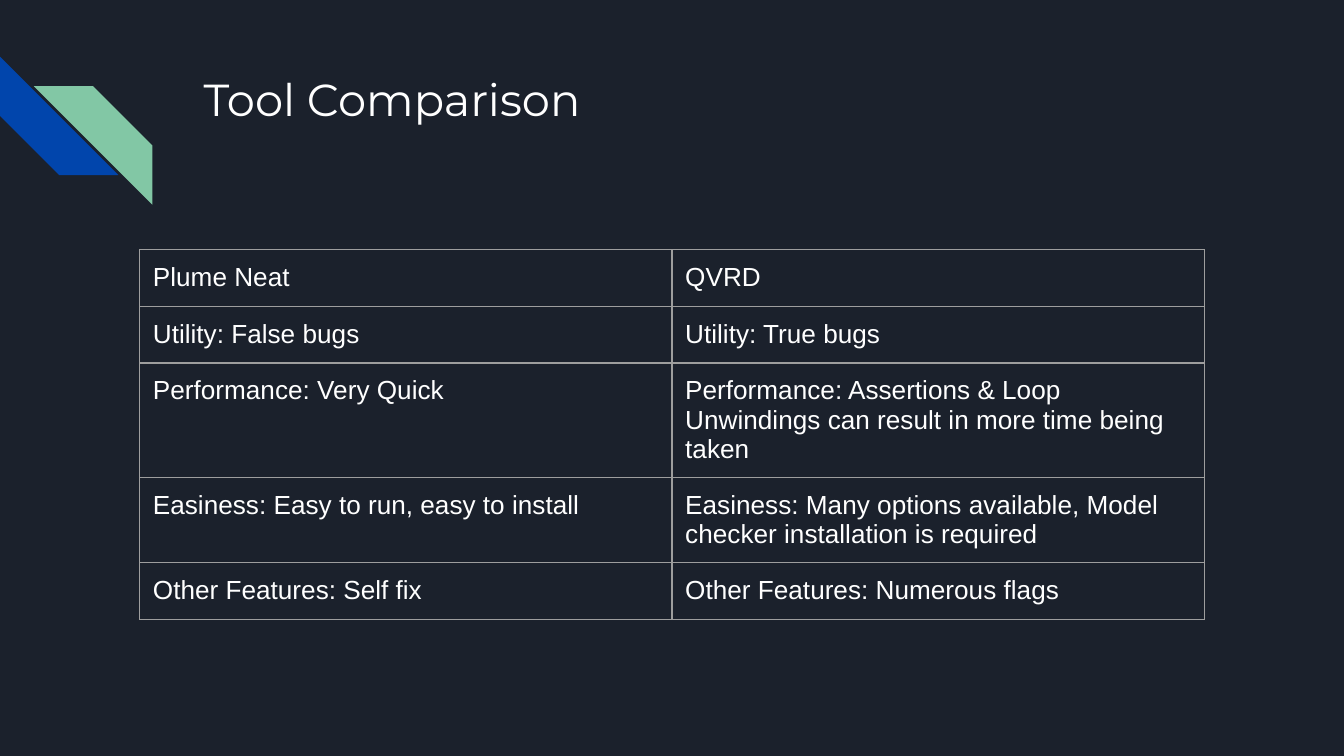
"""Build the tool comparison slide with its title, corner stripes and table."""
from lxml import etree
from pptx import Presentation
from pptx import util as u
from pptx.dml.color import RGBColor
from pptx.enum import shapes, text
from pptx.oxml import ns

COLORS = {
    "background": "1B212C",
    "blue": "0145AC",
    "green": "82C7A5",
    "text": "FFFFFF",
    "border": "9E9E9E",
}
INSET = u.Cm(0.25)
ROWS = [
    ("Plume Neat", "QVRD"),
    ("Utility: False bugs", "Utility: True bugs"),
    ("Performance: Very Quick",
     "Performance: Assertions & Loop Unwindings can result in more time being taken"),
    ("Easiness: Easy to run, easy to install",
     "Easiness: Many options available, Model checker installation is required"),
    ("Other Features: Self fix", "Other Features: Numerous flags"),
]


def color(name):
    return RGBColor.from_string(COLORS[name])


def set_insets(holder):
    for side in ("left", "top", "right", "bottom"):
        setattr(holder, f"margin_{side}", INSET)


def format_paragraph(paragraph, font_name, size):
    paragraph.alignment = text.PP_ALIGN.LEFT
    paragraph.font.name = font_name
    paragraph.font.size = u.Pt(size)
    paragraph.font.color.rgb = color("text")


def set_background(slide):
    fill = slide.background.fill
    fill.solid()
    fill.fore_color.rgb = color("background")


def add_stripe(slide, left, top, rotation, color_name):
    size = u.Cm(2.24)
    stripe = slide.shapes.add_shape(
        shapes.MSO_SHAPE.DIAGONAL_STRIPE, u.Cm(left), u.Cm(top), size, size)
    stripe.rotation = rotation
    stripe.shadow.inherit = False
    stripe.fill.solid()
    stripe.fill.fore_color.rgb = color(color_name)
    stripe.line.fill.background()


def set_title(slide, words):
    title = slide.shapes.title
    title.left, title.top = u.Cm(3.6), u.Cm(1.1)
    title.width, title.height = u.Cm(19.56), u.Cm(2.54)
    frame = title.text_frame
    frame.text = words
    frame.word_wrap = True
    frame.auto_size = text.MSO_AUTO_SIZE.NONE
    frame.vertical_anchor = text.MSO_ANCHOR.TOP
    set_insets(frame)
    format_paragraph(frame.paragraphs[0], "Montserrat", 24)


def set_borders(cell):
    properties = cell._tc.get_or_add_tcPr()
    for side in ("lnL", "lnR", "lnT", "lnB"):
        line = etree.SubElement(properties, ns.qn(f"a:{side}"), w=str(u.Pt(0.75)))
        fill = etree.SubElement(line, ns.qn("a:solidFill"))
        etree.SubElement(fill, ns.qn("a:srgbClr"), val=COLORS["border"])


def add_comparison(slide, rows):
    row_height, column_width = u.Cm(1.07), u.Cm(10.06)
    columns = len(rows[0])
    table = slide.shapes.add_table(
        len(rows), columns, u.Cm(2.64), u.Cm(4.72),
        column_width * columns, row_height * len(rows)).table
    table.first_row = False
    table.horz_banding = False
    for row, words in zip(table.rows, rows):
        for cell, wording in zip(row.cells, words):
            cell.text = wording
            set_insets(cell)
            set_borders(cell)
            cell.fill.background()
            format_paragraph(cell.text_frame.paragraphs[0], "Arial", 14)


def main():
    presentation = Presentation()
    presentation.slide_width = u.Cm(25.4)
    presentation.slide_height = u.Cm(14.29)
    slide = presentation.slides.add_slide(presentation.slide_layouts[5])
    set_background(slide)
    add_stripe(slide, 0, 1.07, 270, "blue")
    add_stripe(slide, 0.64, 1.63, 90, "green")
    set_title(slide, "Tool Comparison")
    add_comparison(slide, ROWS)
    presentation.save("out.pptx")


if __name__ == "__main__":
    main()
